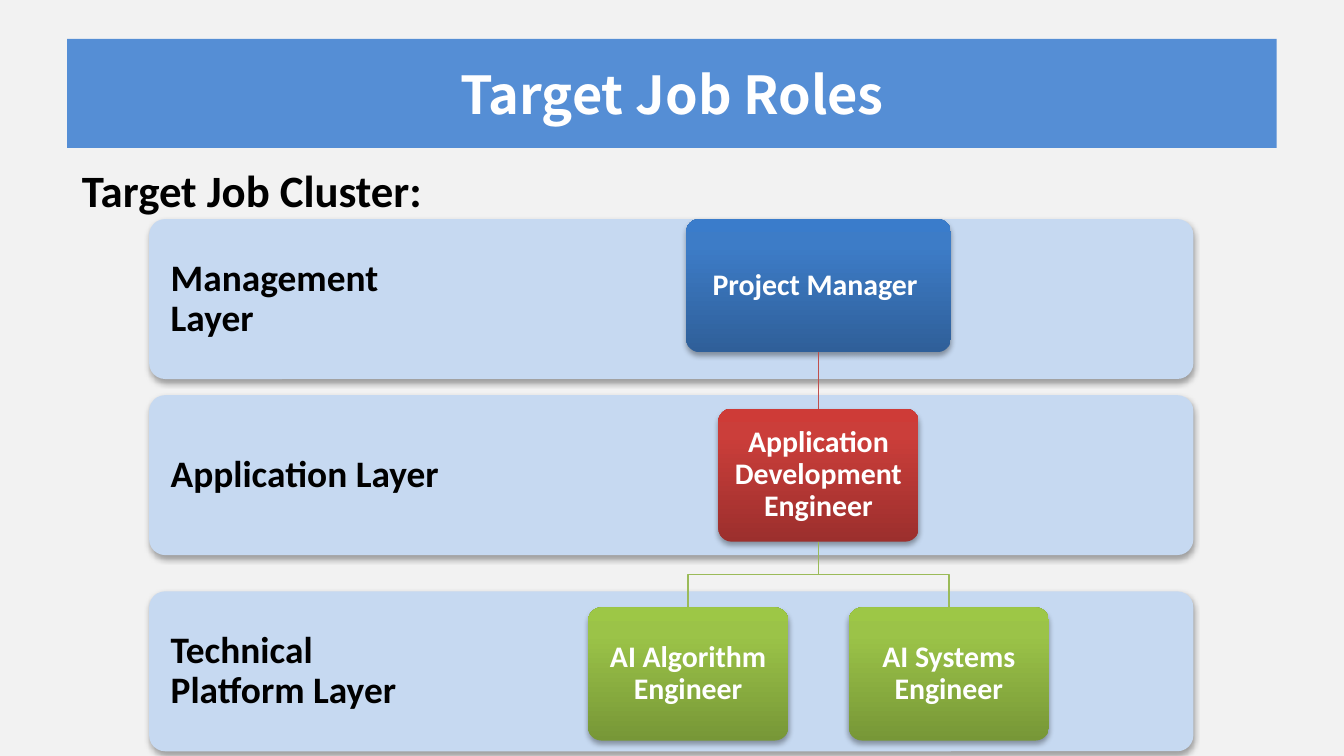
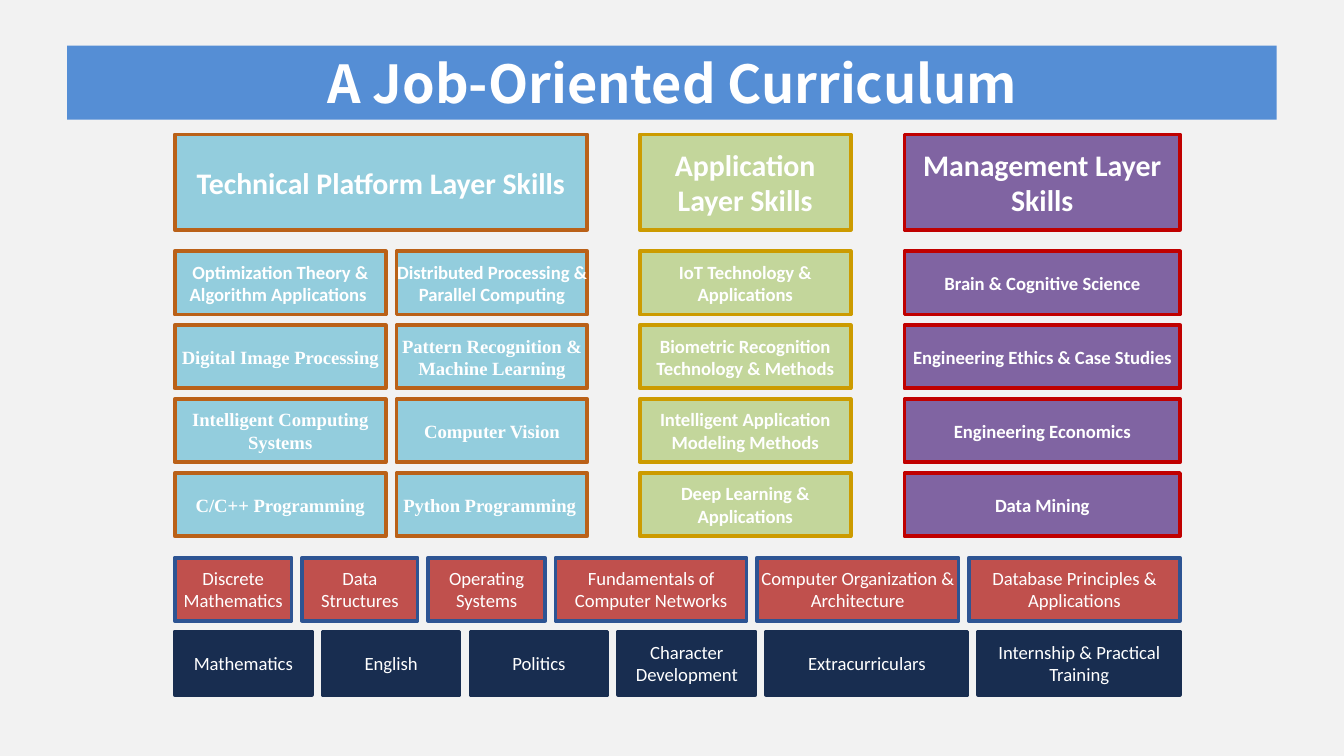
from lxml import etree
from pptx import Presentation
from pptx import util as u
from pptx.dml.color import RGBColor
from pptx.enum import shapes, text
from pptx.oxml import parse_xml
from pptx.oxml.ns import nsdecls, qn

COLORS = {
    "page": "F2F2F2", "title": "558ED5", "white": "FFFFFF", "black": "000000",
    "layer": "C6D9F1", "red": "C0504D", "green": "9BBB59",
    "sky": "93CDDD", "rust": "BA6118", "lime": "C3D69B", "gold": "CC9B00",
    "purple": "8064A2", "crimson": "C00000", "blue": "2D5493", "navy": "182D50",
}
# Card gradients, bottom to top
GRADIENTS = {
    "blue": ("2F5F99", "3D7CC7", "3A7CCB"),
    "red": ("9C2F2D", "CB3E3A", "CE3B37"),
    "green": ("779737", "9BC348", "9DC746"),
}
SANS, SERIF, TITLE_FONT = "Calibri", "Times New Roman", "Noto Sans CJK SC"


def rgb(name):
    return RGBColor.from_string(COLORS[name])


def inches(*values):
    return [u.Inches(v) for v in values]


def set_text(sp, words, size, font=SANS, color="white", bold=True, insets=(0, 0),
             align=text.PP_ALIGN.CENTER, anchor=text.MSO_ANCHOR.MIDDLE, spacing=None):
    tf = sp.text_frame
    tf.text = words
    tf.word_wrap = True
    tf.auto_size = text.MSO_AUTO_SIZE.NONE
    tf.vertical_anchor = anchor
    tf.margin_left = tf.margin_right = u.Inches(insets[0])
    tf.margin_top = tf.margin_bottom = u.Inches(insets[1])
    p = tf.paragraphs[0]
    p.alignment = align
    p.space_before = u.Pt(0)
    if spacing:
        p.line_spacing = spacing
    for r in p.runs:
        r.font.name, r.font.size, r.font.bold = font, u.Pt(size), bold
        r.font.color.rgb = rgb(color)
        if font == TITLE_FONT:
            ea = etree.SubElement(r.font._element, qn("a:ea"))
            ea.set("typeface", font)
    return p


def place(sp, box):
    sp.left, sp.top, sp.width, sp.height = inches(*box)


def add_title(s, words, box):
    sp = s.shapes.title
    place(sp, box)
    sp.fill.solid()
    sp.fill.fore_color.rgb = rgb("title")
    set_text(sp, words, 28, TITLE_FONT, insets=(0.07, 0.04))


# ---- Slide 1: job roles ----
def add_rounded(s, box, fill):
    sp = s.shapes.add_shape(shapes.MSO_SHAPE.ROUNDED_RECTANGLE, *inches(*box))
    sp.adjustments[0] = 0.1
    spPr = sp._element.spPr
    if fill in GRADIENTS:
        stops = "".join(f'<a:gs pos="{pos}"><a:srgbClr val="{c}"/></a:gs>'
                        for pos, c in zip((0, 80000, 100000), GRADIENTS[fill]))
        spPr.append(parse_xml(
            f'<a:gradFill {nsdecls("a")} rotWithShape="1"><a:gsLst>{stops}</a:gsLst>'
            '<a:lin ang="16200000" scaled="0"/></a:gradFill>'))
    else:
        sp.fill.solid()
        sp.fill.fore_color.rgb = rgb(fill)
    sp.line.fill.background()
    spPr.append(parse_xml(
        f'<a:effectLst {nsdecls("a")}><a:outerShdw blurRad="{u.Pt(3.1)}" '
        f'dist="{u.Pt(1.8)}" dir="5400000" rotWithShape="0"><a:srgbClr val="000000">'
        '<a:alpha val="35000"/></a:srgbClr></a:outerShdw></a:effectLst>'))
    return sp


def add_layer(s, box, label):
    add_rounded(s, box, "layer")
    x, y, w, h = box
    sp = s.shapes.add_textbox(*inches(x, y, 0.3 * w, h))
    set_text(sp, label, 20, color="black", insets=(0.16, 0.16),
             align=text.PP_ALIGN.LEFT, spacing=0.9)


def add_role(s, center, top, width, height, label, fill):
    sp = add_rounded(s, (center - width / 2, top, width, height), fill)
    set_text(sp, label, 16, insets=(0.07, 0.07), spacing=0.9)


def add_straight(s, x, top, bottom, color):
    c = s.shapes.add_connector(shapes.MSO_CONNECTOR.STRAIGHT, *inches(x, top, x, bottom))
    c.line.color.rgb = rgb(color)
    c.line.width = u.Pt(0.75)
    etree.SubElement(c._element.spPr, qn("a:effectLst"))


def add_branch(s, x1, top, x2, bottom, color):
    middle = (top + bottom) / 2
    points = [inches(*pt) for pt in ((x1, middle), (x2, middle), (x2, bottom))]
    builder = s.shapes.build_freeform(*inches(x1, top))
    builder.add_line_segments(points, close=False)
    sp = builder.convert_to_shape()
    sp.fill.background()
    sp.line.color.rgb = rgb(color)
    sp.line.width = u.Pt(0.75)
    sp.shadow.inherit = False


def add_job_chart(s, box):
    x, y, w, _ = box
    layer_h, role_h, narrow = 1.19, 0.99, 1.49
    for dy, label in ((2.77, "Technical Platform Layer"), (1.31, "Application Layer"),
                      (0, "Management Layer")):
        add_layer(s, (x, y + dy, w, layer_h), label)

    # Hierarchy of roles
    center, offset = x + 4.98, 0.97
    engineer, specialist = y + 1.41, y + 2.89
    add_role(s, center, y, 1.97, role_h, "Project Manager ", "blue")
    add_straight(s, center, y + role_h, engineer, "red")
    add_role(s, center, engineer, narrow, role_h, "Application Development Engineer", "red")
    for side, label in ((-offset, "AI Algorithm Engineer"), (offset, "AI Systems Engineer")):
        add_branch(s, center, engineer + role_h, center + side, specialist, "green")
        add_role(s, center + side, specialist, narrow, role_h, label, "green")


def add_lead(s, words, box):
    sp = s.placeholders[1]
    place(sp, box)
    p = set_text(sp, words, 24, color="black", insets=(0.1, 0.05),
                 align=text.PP_ALIGN.LEFT, anchor=text.MSO_ANCHOR.TOP)
    pPr = p._p.get_or_add_pPr()
    pPr.set("marL", str(u.Inches(0.38)))
    pPr.set("indent", str(u.Inches(-0.38)))
    etree.SubElement(pPr, qn("a:buNone"))


def job_roles_slide(prs):
    s = prs.slides.add_slide(prs.slide_layouts[1])
    add_title(s, "Target Job Roles", (0.5, 0.29, 9, 0.81))
    add_lead(s, "Target Job Cluster:", (0.51, 1.16, 9.13, 4.32))
    add_job_chart(s, (1.11, 1.63, 7.77, 3.96))


# ---- Slide 2: curriculum ----
COURSE_H, COURSE_PITCH = 0.47, 0.55

# Heading, fill, line, left, width, then columns of (left offset, width, courses)
SKILLS = [
    ("Technical Platform Layer Skills", "sky", "rust", 0, 3.07, [
        (0, 1.57, ["Optimization Theory & Algorithm Applications ", "Digital Image Processing",
                   "Intelligent Computing Systems", "C/C++ Programming"]),
        (1.65, 1.42, ["Distributed Processing & Parallel Computing",
                      "Pattern Recognition & Machine Learning",
                      "Computer Vision", "Python Programming "])]),
    ("Application Layer Skills", "lime", "gold", 3.46, 1.57, [
        (0, 1.57, ["IoT Technology & Applications", "Biometric Recognition Technology & Methods",
                   "Intelligent Application Modeling Methods",
                   "Deep Learning & Applications"])]),
    ("Management Layer Skills", "purple", "crimson", 5.43, 2.05, [
        (0, 2.05, ["Brain & Cognitive Science", "Engineering Ethics & Case Studies",
                   "Engineering Economics", "Data Mining"])]),
]
# Fill, line, then (course, width)
FOUNDATIONS = [
    ("red", "blue", [
        ("Discrete Mathematics", 0.87), ("Data Structures", 0.86), ("Operating Systems", 0.87),
        ("Fundamentals of Computer Networks", 1.42),
        ("Computer Organization & Architecture", 1.5),
        ("Database Principles & Applications", 1.57)]),
    ("navy", "navy", [
        ("Mathematics", 1.02), ("English", 1.02), ("Politics", 1.02),
        ("Character Development", 1.02), ("Extracurriculars", 1.5),
        ("Internship & Practical Training", 1.5)]),
]


def add_block(s, box, label, fill, line, size=10, **style):
    sp = s.shapes.add_shape(shapes.MSO_SHAPE.RECTANGLE, *inches(*box))
    sp.shadow.inherit = False
    sp.fill.solid()
    sp.fill.fore_color.rgb = rgb(fill)
    sp.line.color.rgb = rgb(line)
    sp.line.width = u.Pt(2)
    set_text(sp, label, size, **style)


def add_skills(s, box):
    x, y, _, _ = box
    for heading, fill, line, left, width, columns in SKILLS:
        add_block(s, (x + left, y, width, 0.71), heading, fill, line, 16, insets=(0.1, 0.05))
        for dx, w, courses in columns:
            for i, course in enumerate(courses):
                font = SERIF if fill == "sky" and i else SANS
                top = y + 0.87 + i * COURSE_PITCH
                add_block(s, (x + left + dx, top, w, COURSE_H), course, fill, line, font=font)


def add_foundations(s, box):
    x, y, w, _ = box
    for i, (fill, line, courses) in enumerate(FOUNDATIONS):
        gap = (w - sum(width for _, width in courses)) / (len(courses) - 1)
        left = x
        for course, width in courses:
            add_block(s, (left, y + i * COURSE_PITCH, width, COURSE_H), course, fill, line,
                      bold=False)
            left += width + gap


def curriculum_slide(prs):
    s = prs.slides.add_slide(prs.slide_layouts[5])
    add_title(s, "A Job-Oriented Curriculum", (0.5, 0.34, 9, 0.55))
    add_skills(s, (1.3, 1, 7.48, 2.99))
    add_foundations(s, (1.3, 4.15, 7.48, 1.02))


def main():
    prs = Presentation()
    prs.slide_width = u.Inches(10)
    prs.slide_height = u.Inches(10 * 9 / 16)
    fill = prs.slide_master.background.fill
    fill.solid()
    fill.fore_color.rgb = rgb("page")
    job_roles_slide(prs)
    curriculum_slide(prs)
    prs.save("out.pptx")


if __name__ == "__main__":
    main()
